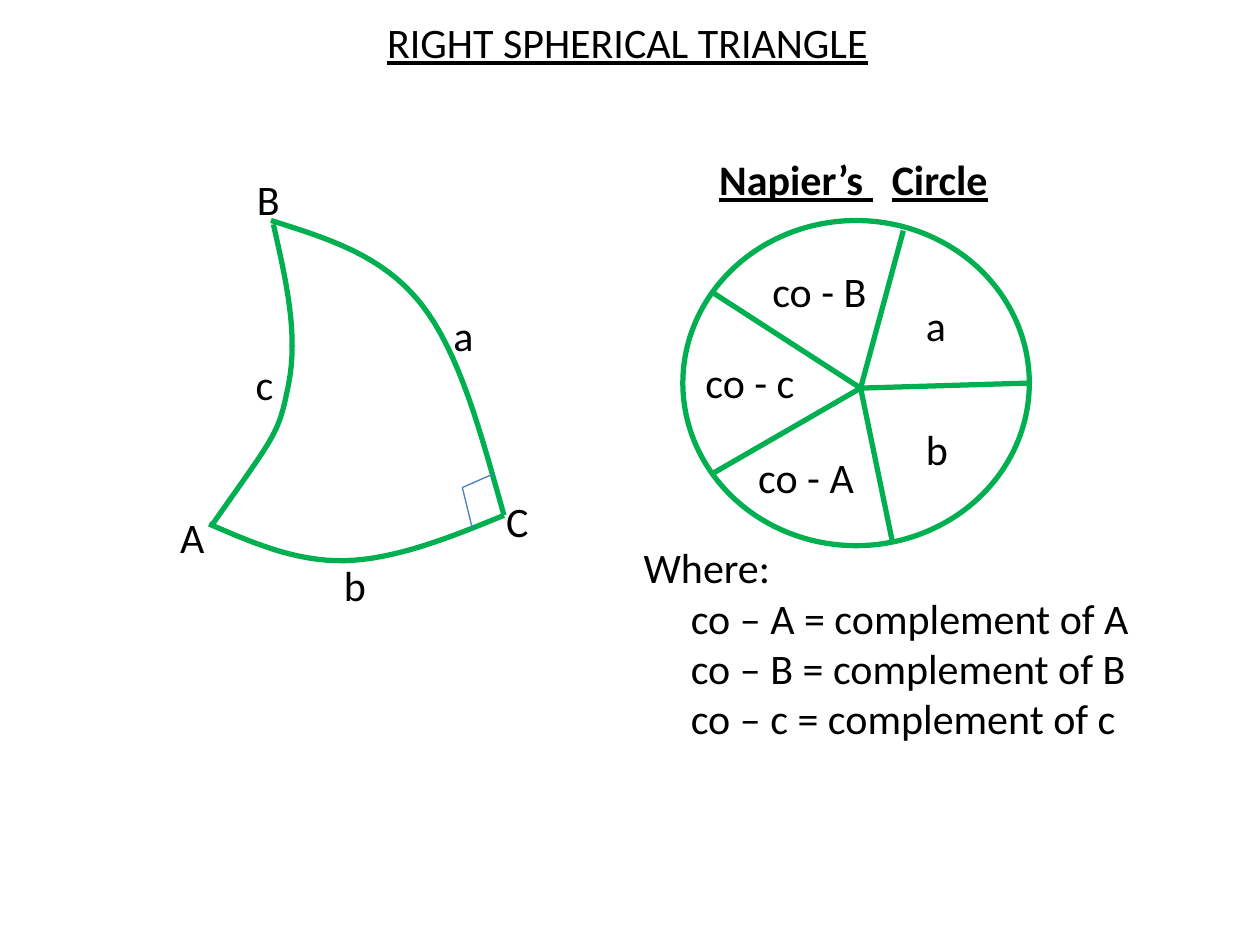
"""Build a slide showing a right spherical triangle beside Napier's circle."""
from lxml.etree import SubElement
from pptx import Presentation
from pptx.dml.color import RGBColor
from pptx.enum.shapes import MSO_CONNECTOR as Connector, MSO_SHAPE as Preset
from pptx.enum.text import PP_ALIGN as Align
from pptx.oxml.ns import qn
from pptx.util import Pt

COLORS = {"text": "000000", "outline": "00B050", "right_angle": "4A7EBB"}
FONT, FONT_SIZE = "Calibri", 24
LABEL_HEIGHT = 36
CURVE_STEPS = 16

TITLE = ("RIGHT SPHERICAL TRIANGLE", 139.7, 5.8, 437.8)
CIRCLE_TITLE = (["Napier’s", " ", "Circle"], 403.9, 84.2, 168.5)
WIDE_SPACE = 1085

CIRCLE = (390.2, 126, 198, 185.8)
HUB = (491.8, 221.8)
SPOKE_ENDS = [(408.2, 167.8), (516.2, 131.8), (588.2, 218.9), (509.8, 308.9), (408.2, 270)]
CIRCLE_LABELS = [
    ("a", 522, 167.8, 25.9),
    ("b", 522, 238.3, 26.6),
    ("co - A", 426.2, 254.2, 69.1),
    ("co - c", 396, 200.2, 65.5),
    ("co - B", 434.2, 148.3, 68.4),
]

LEGEND_BOX = (360.7, 306, 306.7, 122.4)
LEGEND_INDENT = 27
LEGEND_HEADING = "Where:"
LEGEND_ANGLES = ["A", "B", "c"]

TRIANGLE_SIDES = [
    [(154.8, 126), (186.5, 136.1), (218.2, 145.4), (240.5, 173.5),
     (262.8, 201.6), (275, 248.4), (288, 294.5)],
    [(119.5, 299.5), (144.7, 310.3), (169.2, 321.1), (197.3, 320.4),
     (225.4, 319.7), (257, 307.4), (288, 294.5)],
    [(156.2, 128.2), (163.4, 159.8), (170.6, 190.8), (164.9, 219.6),
     (159.1, 248.4), (158.4, 247), (121, 300.2)],
]
TRIANGLE_LABELS = [
    ("c", 139, 201.6, 24.5),
    ("a", 252, 173.5, 25.9),
    ("b", 189.4, 316.1, 26.6),
    ("B", 139.7, 95.8, 27.4),
    ("C", 282.2, 279.4, 27.4),
    ("A", 95.8, 288.7, 28.1),
]
RIGHT_ANGLE_CORNER = (264.2, 278.6)
RIGHT_ANGLE_ENDS = [(282.2, 270.7), (270, 302.4)]


def add_run(paragraph, text, bold=False, underline=False):
    run = paragraph.add_run()
    run.text = text
    font = run.font
    font.name, font.size = FONT, Pt(FONT_SIZE)
    font.bold, font.underline = bold, underline
    font.color.rgb = RGBColor.from_string(COLORS["text"])
    return run


def add_text_frame(slide, left, top, width, height=LABEL_HEIGHT, wrap=False):
    box = slide.shapes.add_textbox(Pt(left), Pt(top), Pt(width), Pt(height))
    box.text_frame.word_wrap = wrap
    return box.text_frame


def set_line(shape, color="outline", width=3):
    shape.line.color.rgb = RGBColor.from_string(COLORS[color])
    shape.line.width = Pt(width)


def add_line(slide, start, end, color="outline", width=3):
    connector = slide.shapes.add_connector(Connector.STRAIGHT, *map(Pt, (*start, *end)))
    set_line(connector, color, width)
    SubElement(connector._element.spPr, qn("a:effectLst"))


def curve_points(controls):
    points = [controls[0]]
    for first in range(0, len(controls) - 1, 3):
        segment = controls[first:first + 4]
        for step in range(1, CURVE_STEPS + 1):
            t = step / CURVE_STEPS
            weights = ((1 - t) ** 3, 3 * t * (1 - t) ** 2, 3 * t * t * (1 - t), t ** 3)
            points.append(tuple(
                sum(weight * value for weight, value in zip(weights, axis))
                for axis in zip(*segment)))
    return points


def add_curve(slide, controls):
    points = [(Pt(x), Pt(y)) for x, y in curve_points(controls)]
    builder = slide.shapes.build_freeform(*points[0])
    builder.add_line_segments(points[1:], close=False)
    curve = builder.convert_to_shape()
    curve.shadow.inherit = False
    curve.fill.background()
    set_line(curve)


def add_labels(slide, labels):
    for text, left, top, width in labels:
        add_run(add_text_frame(slide, left, top, width).paragraphs[0], text)


def add_titles(slide):
    text, *place = TITLE
    paragraph = add_text_frame(slide, *place, wrap=True).paragraphs[0]
    paragraph.alignment = Align.CENTER
    add_run(paragraph, text, underline=True)

    parts, *place = CIRCLE_TITLE
    paragraph = add_text_frame(slide, *place).paragraphs[0]
    for part in parts:
        run = add_run(paragraph, part, bold=True, underline=True)
        if part == " ":
            run.font._element.set("spc", str(WIDE_SPACE))


def add_circle(slide):
    circle = slide.shapes.add_shape(Preset.OVAL, *map(Pt, CIRCLE))
    circle.shadow.inherit = False
    circle.fill.background()
    set_line(circle)
    for end in SPOKE_ENDS:
        add_line(slide, HUB, end)
    add_labels(slide, CIRCLE_LABELS)


def add_legend(slide):
    frame = add_text_frame(slide, *LEGEND_BOX, wrap=True)
    add_run(frame.paragraphs[0], LEGEND_HEADING)
    for angle in LEGEND_ANGLES:
        paragraph = frame.add_paragraph()
        paragraph._p.get_or_add_pPr().set("marL", str(Pt(LEGEND_INDENT)))
        add_run(paragraph, f"co – {angle} = complement of {angle}")


def add_triangle(slide):
    for side in TRIANGLE_SIDES:
        add_curve(slide, side)
    add_labels(slide, TRIANGLE_LABELS)
    for end in RIGHT_ANGLE_ENDS:
        add_line(slide, RIGHT_ANGLE_CORNER, end, "right_angle", 0.75)


def main():
    presentation = Presentation()
    presentation.slide_width, presentation.slide_height = Pt(720), Pt(540)
    slide = presentation.slides.add_slide(presentation.slide_layouts[6])
    add_titles(slide)
    add_circle(slide)
    add_legend(slide)
    add_triangle(slide)
    presentation.save("out.pptx")


if __name__ == "__main__":
    main()
